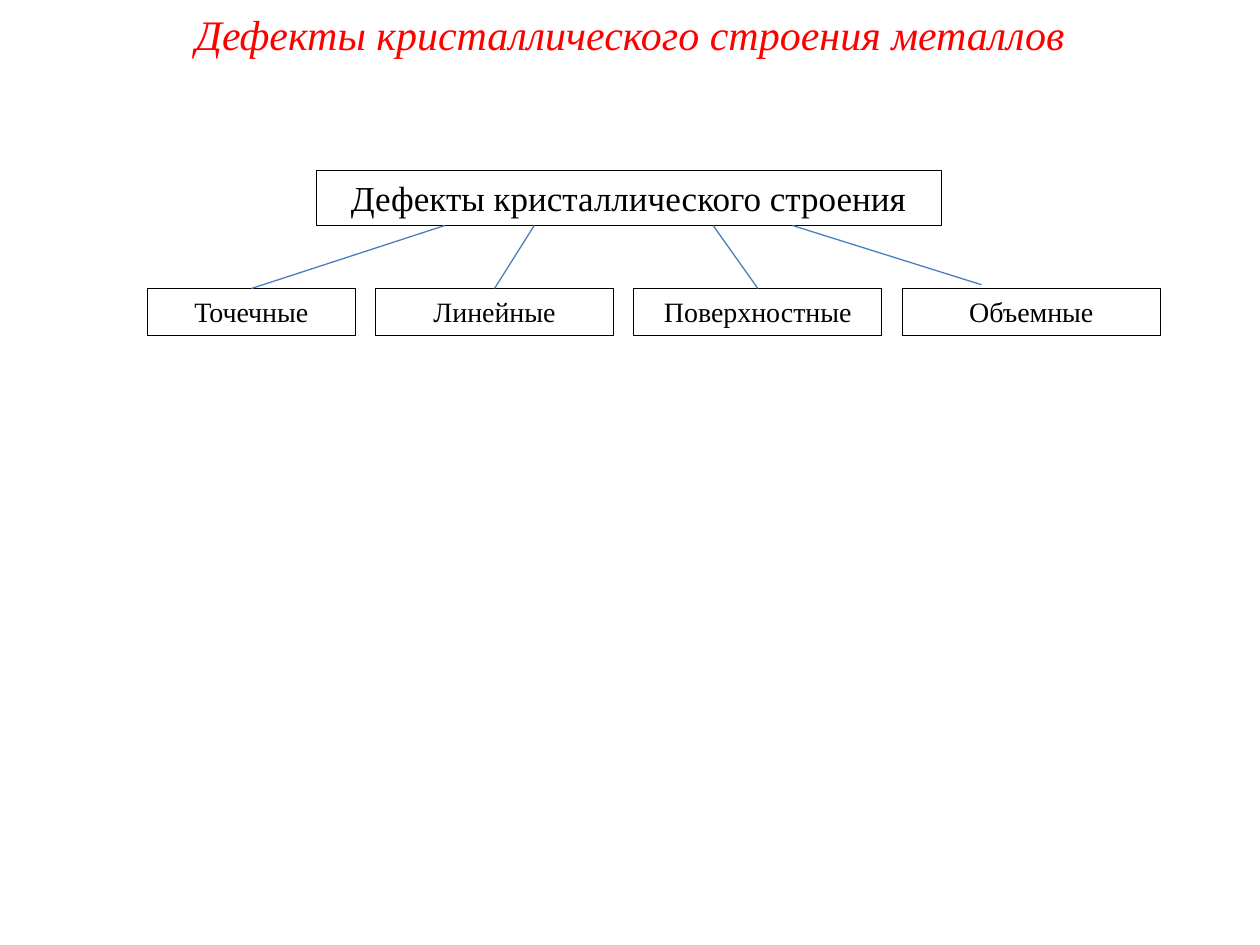
import dataclasses

import pptx
import pptx.dml.color
import pptx.enum.shapes
import pptx.enum.text
import pptx.oxml.ns
import pptx.shapes.autoshape
import pptx.shapes.connector
import pptx.slide
import pptx.text.text
import pptx.util
from lxml import etree

COLORS = {"title": "FF0000", "text": "000000", "border": "000000", "branch": "4B7EBC"}
FONT = "Times New Roman"

# Grid: 100 columns by 75 rows of square cells
COLUMNS, ROWS = 100, 75
CELL = pptx.util.Inches(0.1)

ROOT_LEFT, ROOT_TOP, ROOT_WIDTH, ROOT_HEIGHT = 25.1, 13.5, 49.6, 4.4
KINDS_LEFT, KINDS_TOP, KINDS_HEIGHT, KINDS_GAP = 11.7, 22.9, 3.7, 1.6


@dataclasses.dataclass
class DefectKind:
    name: str
    width: float
    branch_start: float  # column on the root's lower edge
    branch_end: tuple[float, float] | None = None  # None: middle of the top side


DEFECT_KINDS = [
    DefectKind("Точечные", 16.5, 35.3),
    DefectKind("Линейные", 18.9, 42.4),
    DefectKind("Поверхностные", 19.7, 56.6),
    DefectKind("Объемные", 20.5, 62.9, (77.9, 22.6)),
]


def cells(count: float) -> pptx.util.Emu:
    return pptx.util.Emu(round(count * CELL))


def rgb(role: str) -> pptx.dml.color.RGBColor:
    return pptx.dml.color.RGBColor.from_string(COLORS[role])


def write(frame: pptx.text.text.TextFrame, text: str, *, size: float,
          color: str = "text", italic: bool = False, side_inset: float = 1) -> None:
    frame.word_wrap = True
    frame.auto_size = pptx.enum.text.MSO_AUTO_SIZE.SHAPE_TO_FIT_TEXT
    frame.vertical_anchor = pptx.enum.text.MSO_ANCHOR.TOP
    frame.margin_left = frame.margin_right = cells(side_inset)
    frame.margin_top = frame.margin_bottom = cells(0.5)
    paragraph = frame.paragraphs[0]
    paragraph.alignment = pptx.enum.text.PP_ALIGN.CENTER
    run = paragraph.add_run()
    run.text = text
    run.font.name = FONT
    run.font.size = pptx.util.Pt(size)
    run.font.italic = italic
    run.font.color.rgb = rgb(color)


def add_box(slide: pptx.slide.Slide, left: float, top: float, width: float,
            height: float) -> pptx.shapes.autoshape.Shape:
    box = slide.shapes.add_shape(
        pptx.enum.shapes.MSO_SHAPE.RECTANGLE,
        cells(left), cells(top), cells(width), cells(height))
    box.shadow.inherit = False
    box.fill.background()
    box.line.color.rgb = rgb("border")
    box.line.width = pptx.util.Pt(0.5)
    return box


def add_branch(slide: pptx.slide.Slide, start: tuple[float, float],
               end: tuple[float, float]) -> pptx.shapes.connector.Connector:
    branch = slide.shapes.add_connector(
        pptx.enum.shapes.MSO_CONNECTOR.STRAIGHT, *map(cells, start + end))
    branch.line.color.rgb = rgb("branch")
    branch.line.width = pptx.util.Pt(0.75)
    etree.SubElement(branch._element.spPr, pptx.oxml.ns.qn("a:effectLst"))
    return branch


def main() -> None:
    presentation = pptx.Presentation()
    presentation.slide_width = cells(COLUMNS)
    presentation.slide_height = cells(ROWS)
    slide = presentation.slides.add_slide(
        presentation.slide_layouts.get_by_name("Title Only"))

    # Title
    title = slide.shapes.title
    title.left, title.top, title.width, title.height = map(cells, (6.7, 0.2, 86.6, 5))
    write(title.text_frame, "Дефекты кристаллического строения металлов",
          size=24, color="title", italic=True)

    # Root of the classification
    root = add_box(slide, ROOT_LEFT, ROOT_TOP, ROOT_WIDTH, ROOT_HEIGHT)
    write(root.text_frame, "Дефекты кристаллического строения", size=20)

    # Kinds of defects, each with its branch from the root
    left = KINDS_LEFT
    for kind in DEFECT_KINDS:
        box = add_box(slide, left, KINDS_TOP, kind.width, KINDS_HEIGHT)
        write(box.text_frame, kind.name, size=16, side_inset=0.4)
        top_middle = (left + kind.width / 2, KINDS_TOP)
        branch = add_branch(slide, (kind.branch_start, ROOT_TOP + ROOT_HEIGHT),
                            kind.branch_end or top_middle)
        if kind.branch_end is None:
            branch.end_connect(box, 0)
        left += kind.width + KINDS_GAP

    presentation.save("out.pptx")


if __name__ == "__main__":
    main()
